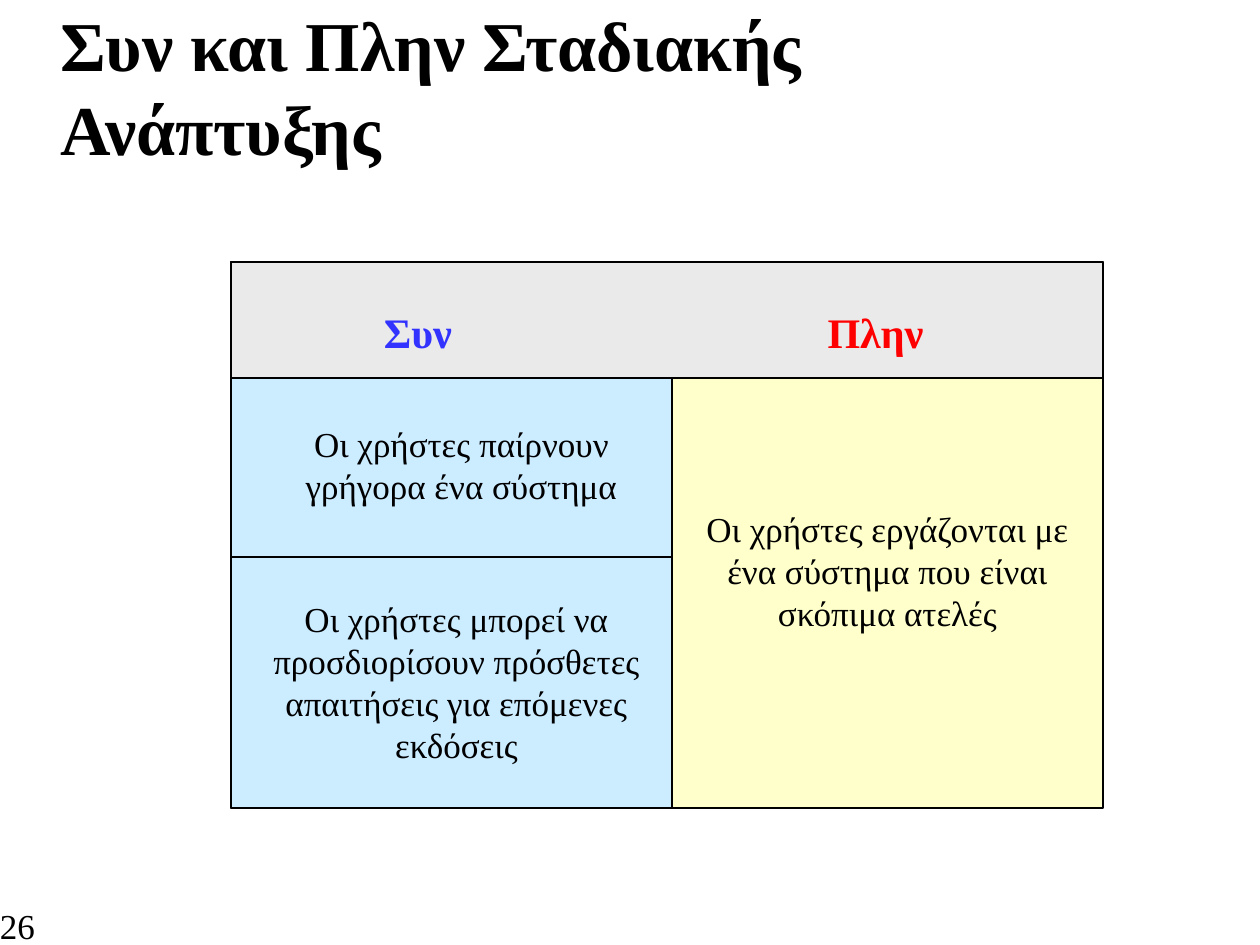
from pptx import Presentation
from pptx.dml.color import RGBColor
from pptx.enum.shapes import MSO_CONNECTOR, MSO_SHAPE
from pptx.enum.text import MSO_ANCHOR, PP_ALIGN
from pptx.oxml.ns import qn
from pptx.util import Emu, Pt

PX_PER_INCH = 126
FONT = "Times New Roman"
COLORS = {
    "black": "000000",
    "header": "EAEAEA",
    "pros": "CCECFF",
    "cons": "FFFFCC",
    "pros_title": "3333FF",
    "cons_title": "FF0000",
}


def px(length):
    return Emu(round(length * 914400 / PX_PER_INCH))


def color(name):
    return RGBColor.from_string(COLORS[name])


def add_text(page, box, text, size=20, color_name="black", bold=False,
             align=PP_ALIGN.CENTER, wrap=True, inset=(12, 6)):
    frame = page.shapes.add_textbox(*map(px, box)).text_frame
    frame.word_wrap = wrap
    frame.vertical_anchor = MSO_ANCHOR.MIDDLE
    frame.margin_left = frame.margin_right = px(inset[0])
    frame.margin_top = frame.margin_bottom = px(inset[1])
    para = frame.paragraphs[0]
    para.alignment = align
    span = para.add_run()
    span.text = text
    span.font.name = FONT
    span.font.size = Pt(size)
    span.font.bold = bold
    span.font.color.rgb = color(color_name)


def add_panel(page, box, fill):
    panel = page.shapes.add_shape(MSO_SHAPE.RECTANGLE, *map(px, box))
    panel.shadow.inherit = False
    panel.fill.solid()
    panel.fill.fore_color.rgb = color(fill)
    panel.line.color.rgb = color("black")
    panel.line.width = Pt(1)


def add_rule(page, start, end):
    rule = page.shapes.add_connector(MSO_CONNECTOR.STRAIGHT, *map(px, start + end))
    rule.line.color.rgb = color("black")
    rule.line.width = Pt(1)
    properties = rule._element.spPr
    properties.append(properties.makeelement(qn("a:effectLst"), {}))


def add_comparison(page, box):
    left, top, width, height = box
    header_height, pros_width, split = 116, 441, 295

    # Panels: the whole box, the header and the pros column
    add_panel(page, box, "cons")
    add_panel(page, (left, top, width, header_height), "header")
    add_panel(page, (left, top + header_height, pros_width, height - header_height), "pros")

    # Column titles
    for x, title_width, text, name in (
        (136, 102, "Συν", "pros_title"),
        (577, 135, "Πλην", "cons_title"),
    ):
        add_text(page, (left + x, top + 38, title_width, 63), text,
                 size=24, color_name=name, bold=True, wrap=False)

    # Arguments
    for x, y, text_width, text_height, text in (
        (22, 154, 417, 97, "Οι χρήστες παίρνουν γρήγορα ένα σύστημα"),
        (12, 329, 427, 181, "Οι χρήστες μπορεί να προσδιορίσουν πρόσθετες "
                            "απαιτήσεις για επόμενες εκδόσεις"),
        (458, 218, 397, 181, "Οι χρήστες εργάζονται με ένα σύστημα που είναι σκόπιμα ατελές"),
    ):
        add_text(page, (left + x, top + y, text_width, text_height), text)

    # Divider between the two pros
    add_rule(page, (left, top + split), (left + pros_width, top + split))


def main():
    deck = Presentation()
    deck.slide_width, deck.slide_height = px(1260), px(945)
    page = deck.slides.add_slide(deck.slide_layouts[6])

    # Title
    add_text(page, (48, 6, 1076, 158), "Συν και Πλην Σταδιακής Ανάπτυξης",
             size=40, bold=True, align=PP_ALIGN.LEFT)

    add_comparison(page, (231, 262, 872, 546))

    # Slide number
    add_text(page, (0, 908, 136, 35), "26", align=PP_ALIGN.LEFT, inset=(0, 0))

    deck.save("out.pptx")


if __name__ == "__main__":
    main()
